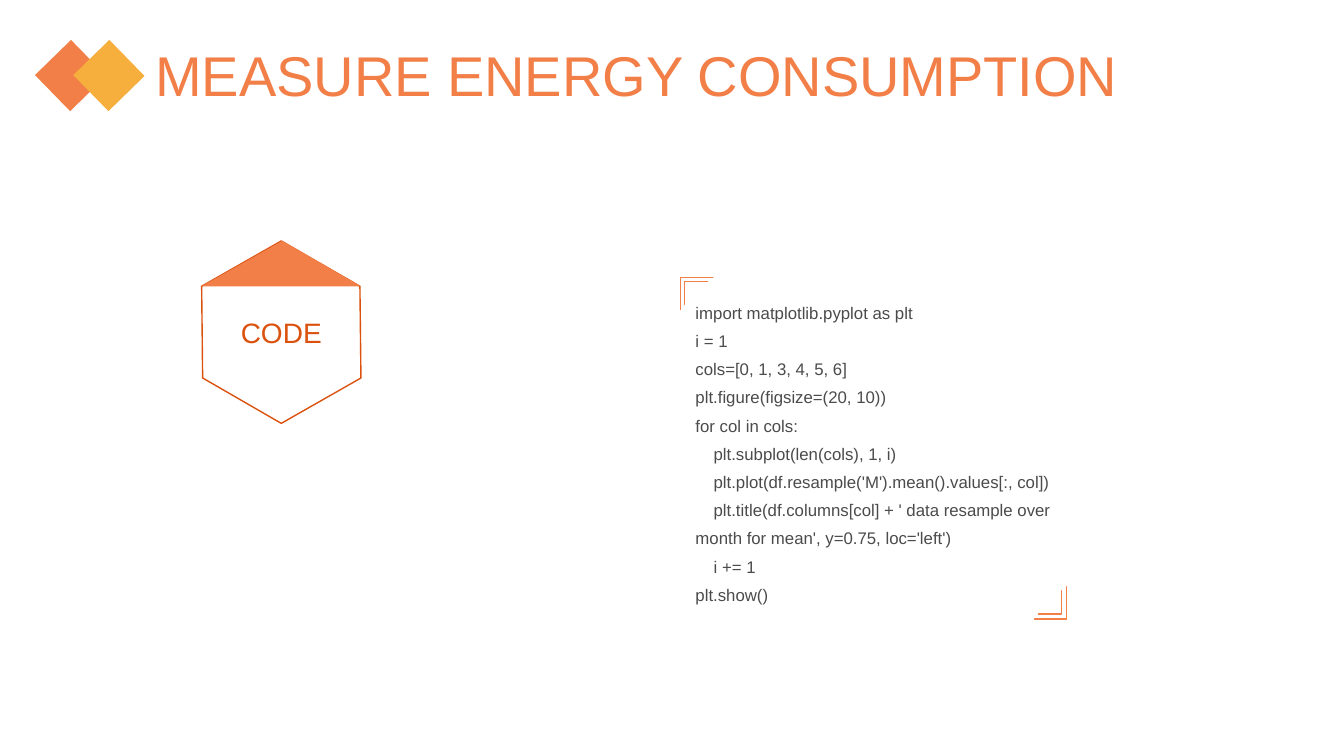
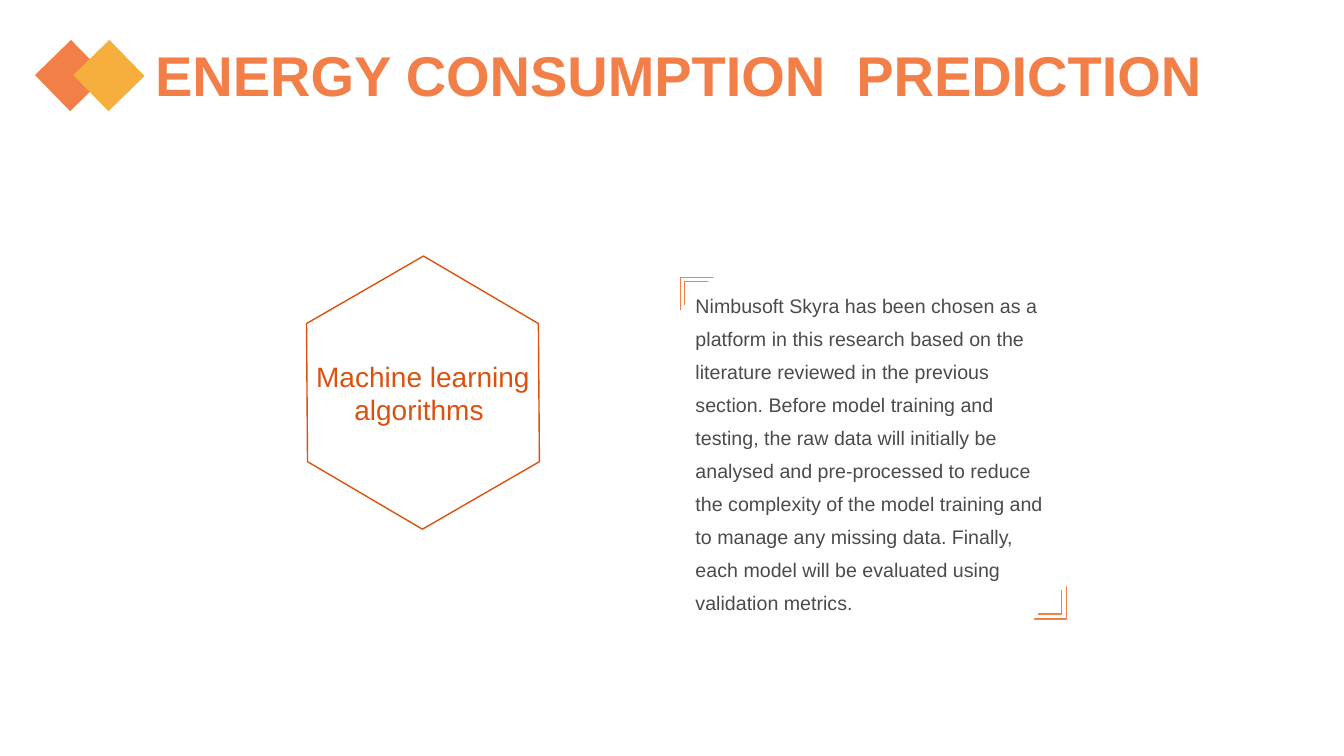
from pptx import Presentation
from pptx.dml.color import RGBColor
from pptx.enum.shapes import MSO_SHAPE
from pptx.enum.text import MSO_ANCHOR, PP_ALIGN
from pptx.util import Pt

PX = 9144  # 100 px to the inch
ORANGE = RGBColor(0xF2, 0x7F, 0x47)
AMBER = RGBColor(0xF6, 0xAE, 0x3D)
RUST = RGBColor(0xDB, 0x52, 0x0F)
GREY = RGBColor(0x4B, 0x4B, 0x4B)
FONT = "Arial"
RECT, HALF_FRAME = MSO_SHAPE.RECTANGLE, MSO_SHAPE.HALF_FRAME
MIDDLE, CENTER = MSO_ANCHOR.MIDDLE, PP_ALIGN.CENTER
INDENT = 18

# Body lines are (indent level, text)
CODE = [
    (0, "import matplotlib.pyplot as plt"),
    (0, "i = 1"),
    (0, "cols=[0, 1, 3, 4, 5, 6]"),
    (0, "plt.figure(figsize=(20, 10))"),
    (0, "for col in cols:"),
    (1, "plt.subplot(len(cols), 1, i)"),
    (1, "plt.plot(df.resample('M').mean().values[:, col])"),
    (1, "plt.title(df.columns[col] + ' data resample over month for mean', "
        "y=0.75, loc='left')"),
    (1, "i += 1"),
    (0, "plt.show()"),
]
PREDICTION = [
    (0, "Nimbusoft Skyra has been chosen as a platform in this research based "
        "on the literature reviewed in the previous section. Before model "
        "training and testing, the raw data will initially be analysed and "
        "pre-processed to reduce the complexity of the model training and to "
        "manage any missing data. Finally, each model will be evaluated using "
        "validation metrics."),
]
SLIDES = [
    dict(title="MEASURE ENERGY CONSUMPTION", bold=False,
         label="CODE", body=CODE, size=12,
         hexagon=[(279, 239), (357, 284), (358, 375), (279, 420), (201, 375), (200, 284)],
         cap=[(280, 239), (358, 284), (200, 284)]),
    dict(title="ENERGY CONSUMPTION  PREDICTION", bold=True,
         label="Machine learning algorithms ", body=PREDICTION, size=14,
         hexagon=[(420, 254), (534, 321), (535, 458), (419, 525), (305, 458), (304, 321)],
         cap=None),
]


def write(sp, lines, size, color, spacing=1.0, bold=False):
    tf = sp.text_frame
    tf.word_wrap = True
    tf.vertical_anchor = MIDDLE
    tf.text = "\n".join(text for level, text in lines)
    for p, (level, text) in zip(tf.paragraphs, lines):
        p.line_spacing = spacing
        if level:
            pPr = p._p.get_or_add_pPr()
            pPr.set("marL", "0")
            pPr.set("indent", str(level * INDENT * PX))
        f = p.runs[0].font
        f.name, f.size, f.bold = FONT, Pt(size), bold
        f.color.rgb = color
    return tf


def polygon(s, points):
    fb = s.shapes.build_freeform(*points[0], scale=PX)
    fb.add_line_segments(points[1:], close=True)
    sp = fb.convert_to_shape()
    sp.shadow.inherit = False
    return sp


prs = Presentation()
prs.slide_width, prs.slide_height = 1333 * PX, 750 * PX

for spec_row in SLIDES:
    s = prs.slides.add_slide(prs.slide_layouts[6])

    # Title diamonds
    for x, color in ((45, ORANGE), (83, AMBER)):
        sp = s.shapes.add_shape(RECT, x * PX, 50 * PX, 50 * PX, 50 * PX)
        sp.rotation = 45.7
        sp.shadow.inherit = False
        sp.fill.solid()
        sp.fill.fore_color.rgb = color
        sp.line.fill.background()

    # Double corner brackets around the body
    for x, y, angle in ((675, 275, 0), (1026, 582, 180)):
        for inset, side in ((0, 32), (4, 23)):
            sp = s.shapes.add_shape(HALF_FRAME, (x + inset) * PX, (y + inset) * PX,
                                    side * PX, side * PX)
            sp.adjustments[0] = sp.adjustments[1] = 0
            sp.rotation = angle
            sp.shadow.inherit = False
            sp.fill.background()
            sp.line.color.rgb = ORANGE
            sp.line.width = Pt(1)

    # Labelled hexagon, with a filled cap where there is one
    sp = polygon(s, spec_row["hexagon"])
    sp.fill.background()
    sp.line.color.rgb = RUST
    sp.line.width = Pt(1)
    tf = write(sp, [(0, spec_row["label"])], 20, RUST)
    tf.margin_left = tf.margin_right = tf.margin_top = tf.margin_bottom = 0
    tf.paragraphs[0].alignment = CENTER
    if spec_row["cap"]:
        sp = polygon(s, spec_row["cap"])
        sp.fill.solid()
        sp.fill.fore_color.rgb = ORANGE
        sp.line.fill.background()

    # Body and title
    sp = s.shapes.add_textbox(680 * PX, 279 * PX, 373 * PX, 334 * PX)
    write(sp, spec_row["body"], spec_row["size"], GREY, 1.4)
    sp = s.shapes.add_textbox(144 * PX, 29 * PX, 1098 * PX, 98 * PX)
    write(sp, [(0, spec_row["title"])], 40, ORANGE, 0.9, spec_row["bold"])

prs.save("out.pptx")
